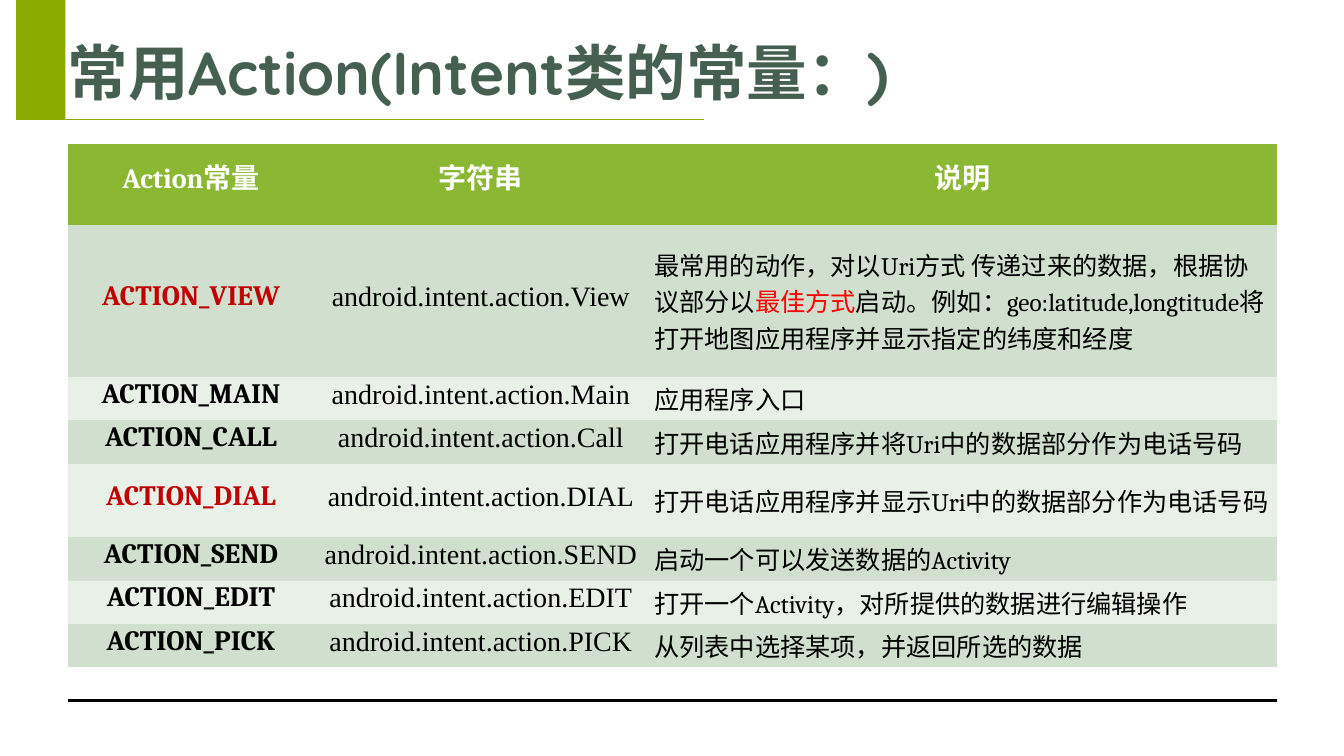
from lxml import etree
from pptx import Presentation
from pptx.dml.color import RGBColor
from pptx.enum.shapes import MSO_CONNECTOR, MSO_SHAPE
from pptx.enum.text import MSO_ANCHOR, PP_ALIGN
from pptx.oxml.ns import qn
from pptx.util import Inches, Pt

STRAIGHT = MSO_CONNECTOR.STRAIGHT
RECTANGLE = MSO_SHAPE.RECTANGLE
MIDDLE, BOTTOM = MSO_ANCHOR.MIDDLE, MSO_ANCHOR.BOTTOM
CENTER, LEFT = PP_ALIGN.CENTER, PP_ALIGN.LEFT

BLACK = RGBColor(0x00, 0x00, 0x00)
WHITE = RGBColor(0xFF, 0xFF, 0xFF)
OLIVE = RGBColor(0x8B, 0xAB, 0x00)
TITLE_GREEN = RGBColor(0x45, 0x5F, 0x51)
HEADER_GREEN = RGBColor(0x8A, 0xB8, 0x33)
BAND_DARK = RGBColor(0xD1, 0xDF, 0xCE)
BAND_LIGHT = RGBColor(0xE9, 0xF0, 0xE8)
DARK_RED = RGBColor(0xC0, 0x00, 0x00)
RED = RGBColor(0xFF, 0x00, 0x00)

SERIF, ROMAN, ROUNDED = "Cambria", "Times New Roman", "Quicksand"

# Content
TITLE = "常用Action(Intent类的常量：)"
HEADERS = [("Action常量", SERIF), ("字符串", ROMAN), ("说明", SERIF)]
# (constant, its colour, string, runs of the description, row height)
ACTIONS = [
    ("ACTION_VIEW", DARK_RED, "android.intent.action.View",
     [("最常用的动作，对以Uri方式 传递过来的数据，根据协议部分以", BLACK),
      ("最佳方式", RED),
      ("启动。例如：geo:latitude,longtitude将打开地图应用程序并显示指定的纬度和经度", BLACK)], 1.51),
    ("ACTION_MAIN", BLACK, "android.intent.action.Main",
     [("应用程序入口", BLACK)], 0.43),
    ("ACTION_CALL", BLACK, "android.intent.action.Call",
     [("打开电话应用程序并将Uri中的数据部分作为电话号码", BLACK)], 0.43),
    ("ACTION_DIAL", DARK_RED, "android.intent.action.DIAL",
     [("打开电话应用程序并显示Uri中的数据部分作为电话号码", BLACK)], 0.73),
    ("ACTION_SEND", BLACK, "android.intent.action.SEND",
     [("启动一个可以发送数据的Activity", BLACK)], 0.43),
    ("ACTION_EDIT", BLACK, "android.intent.action.EDIT",
     [("打开一个Activity，对所提供的数据进行编辑操作", BLACK)], 0.43),
    ("ACTION_PICK", BLACK, "android.intent.action.PICK",
     [("从列表中选择某项，并返回所选的数据", BLACK)], 0.43),
]

# Layout in inches
MARGIN, CONTENT_WIDTH = 0.67, 12
TABLE_TOP, HEADER_HEIGHT = 1.43, 0.8
COLUMN_WIDTHS = [2.45, 3.3, 6.25]


def add_rule(slide, left, right, y, color, width):
    line = slide.shapes.add_connector(
        STRAIGHT, Inches(left), Inches(y), Inches(right), Inches(y))
    line.line.color.rgb = color
    line.line.width = Pt(width)
    etree.SubElement(line._element.spPr, qn("a:effectLst"))


def write_runs(paragraph, runs, font_name, size, bold):
    for text, color in runs:
        run = paragraph.add_run()
        run.text = text
        run.font.name = font_name
        run.font.size = Pt(size)
        run.font.bold = bold
        run.font.color.rgb = color


def fill_cell(cell, fill, runs, font_name, size=20, bold=False, centered=True):
    cell.fill.solid()
    cell.fill.fore_color.rgb = fill
    cell.vertical_anchor = MIDDLE
    cell.margin_left = cell.margin_right = Inches(0.07)
    cell.margin_top = cell.margin_bottom = 0
    paragraph = cell.text_frame.paragraphs[0]
    paragraph.alignment = CENTER if centered else LEFT
    if centered:
        paragraph.line_spacing = Pt(16.8)
    write_runs(paragraph, runs, font_name, size, bold)


def add_decoration(slide):
    add_rule(slide, MARGIN, MARGIN + CONTENT_WIDTH, 6.95, BLACK, 2.25)
    block = slide.shapes.add_shape(
        RECTANGLE, Inches(0.16), 0, Inches(0.49), Inches(1.19))
    block.shadow.inherit = False
    block.fill.solid()
    block.fill.fore_color.rgb = OLIVE
    block.line.fill.background()
    add_rule(slide, 0.61, 6.98, 1.18, OLIVE, 0.5)


def add_title(slide):
    box = slide.shapes.add_textbox(
        Inches(MARGIN), Inches(0.15), Inches(CONTENT_WIDTH), Inches(0.92))
    frame = box.text_frame
    frame.word_wrap = True
    frame.vertical_anchor = BOTTOM
    frame.margin_left = frame.margin_right = frame.margin_bottom = 0
    frame.margin_top = Inches(0.04)
    write_runs(frame.paragraphs[0], [(TITLE, TITLE_GREEN)], ROUNDED, 43.2, True)


def add_action_table(slide):
    heights = [HEADER_HEIGHT] + [action[-1] for action in ACTIONS]
    table = slide.shapes.add_table(
        len(heights), len(COLUMN_WIDTHS), Inches(MARGIN), Inches(TABLE_TOP),
        Inches(CONTENT_WIDTH), Inches(sum(heights))).table
    for column, width in zip(table.columns, COLUMN_WIDTHS):
        column.width = Inches(width)
    for row, height in zip(table.rows, heights):
        row.height = Inches(height)

    # Header row
    for index, (text, font_name) in enumerate(HEADERS):
        fill_cell(table.cell(0, index), HEADER_GREEN, [(text, WHITE)],
                  font_name, bold=True)

    # Banded action rows
    for index, (constant, color, string, description, _) in enumerate(ACTIONS, 1):
        band = BAND_DARK if index % 2 else BAND_LIGHT
        fill_cell(table.cell(index, 0), band, [(constant, color)], SERIF, bold=True)
        fill_cell(table.cell(index, 1), band, [(string, BLACK)], ROMAN)
        fill_cell(table.cell(index, 2), band, description, SERIF,
                  size=18, centered=False)

    # No borders between cells
    for cell in table.iter_cells():
        properties = cell._tc.get_or_add_tcPr()
        for position, side in enumerate(("a:lnL", "a:lnR", "a:lnT", "a:lnB")):
            border = etree.Element(qn(side), w="0")
            etree.SubElement(border, qn("a:noFill"))
            properties.insert(position, border)


def main():
    presentation = Presentation()
    presentation.slide_width = Inches(13.33)
    presentation.slide_height = Inches(7.5)
    slide = presentation.slides.add_slide(presentation.slide_layouts[6])
    add_decoration(slide)
    add_title(slide)
    add_action_table(slide)
    presentation.save("out.pptx")


if __name__ == "__main__":
    main()
